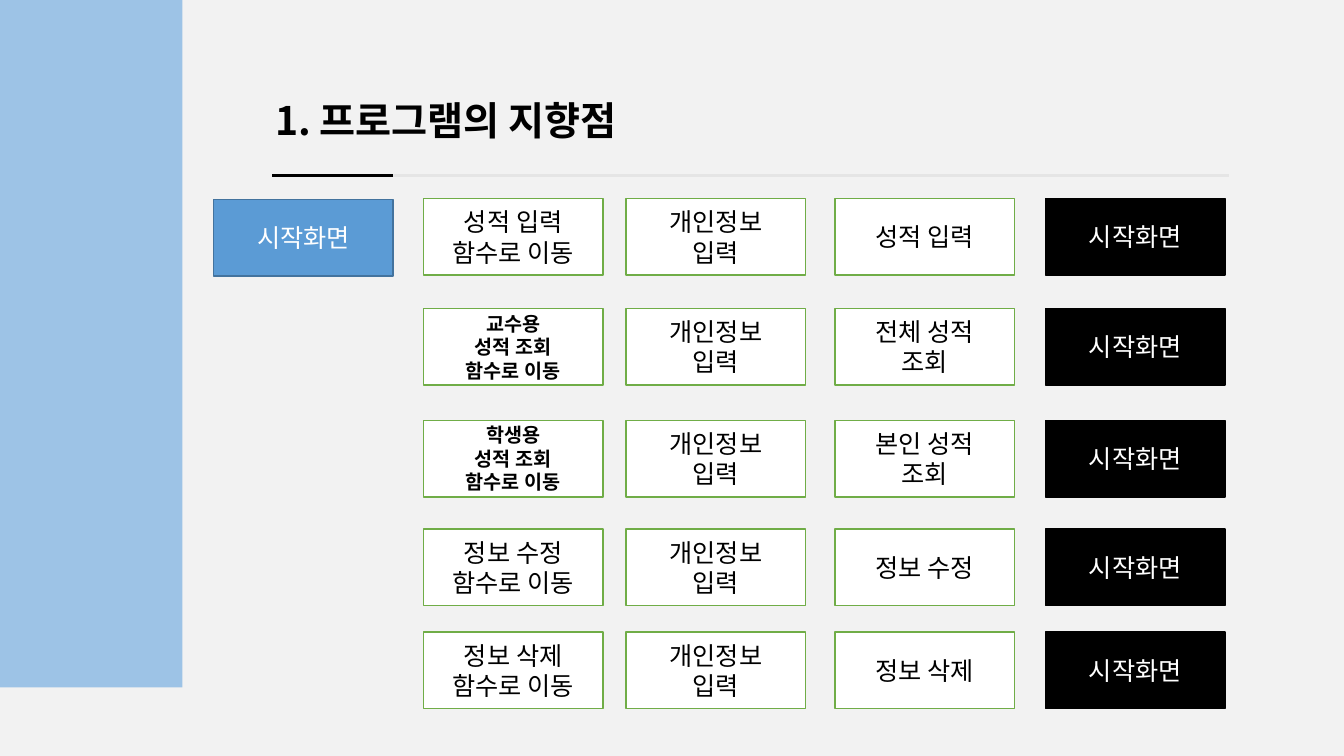
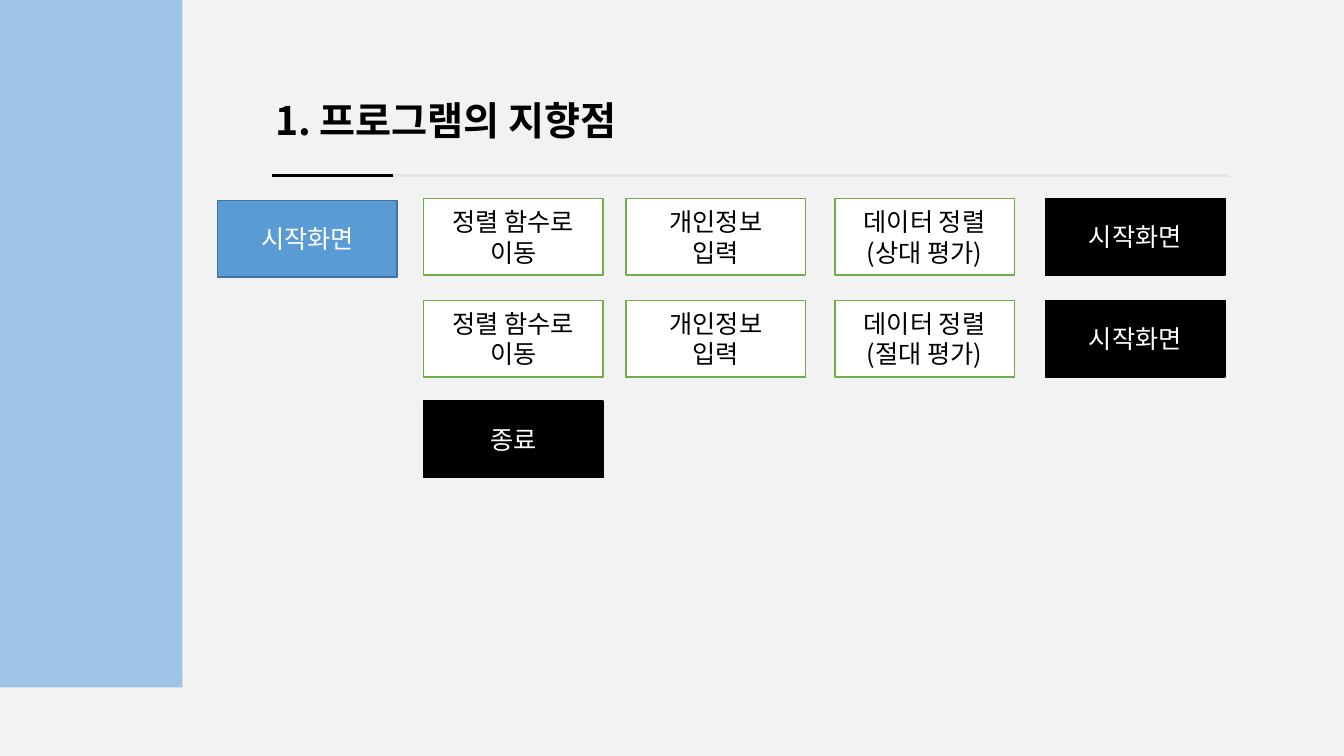
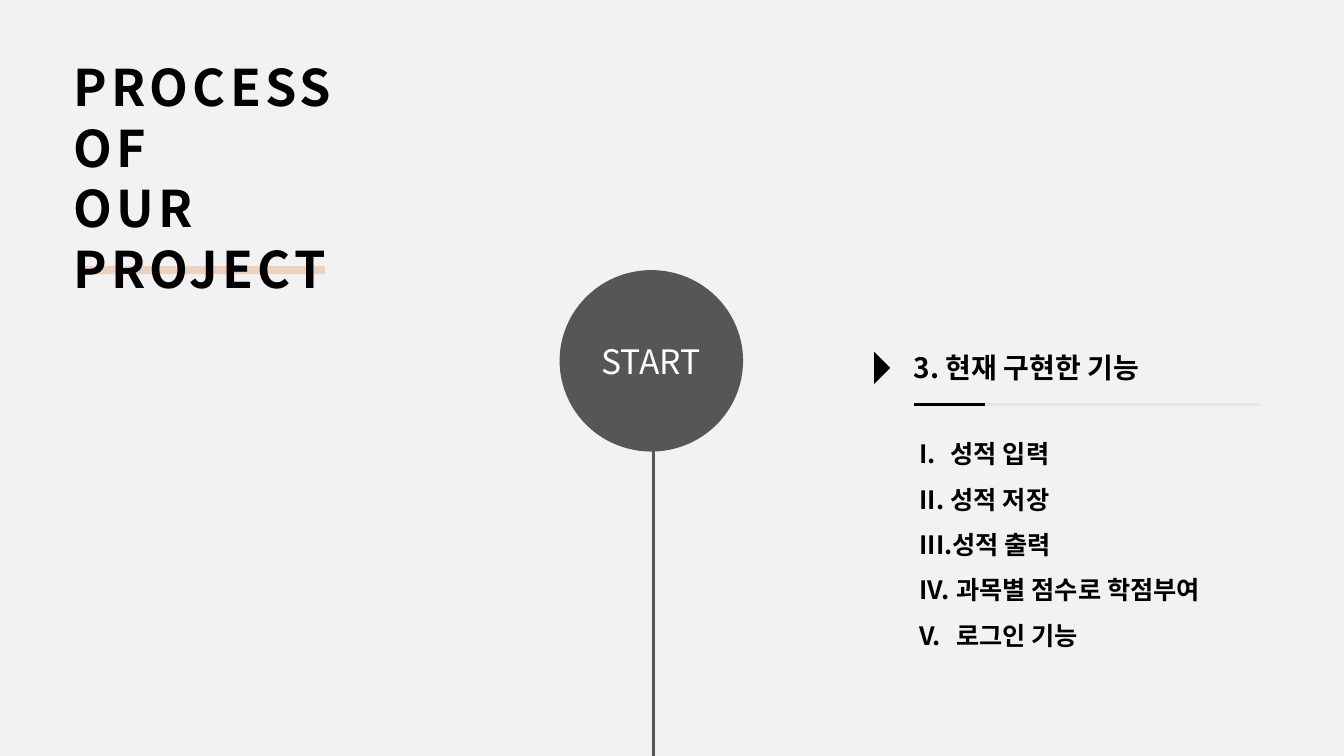
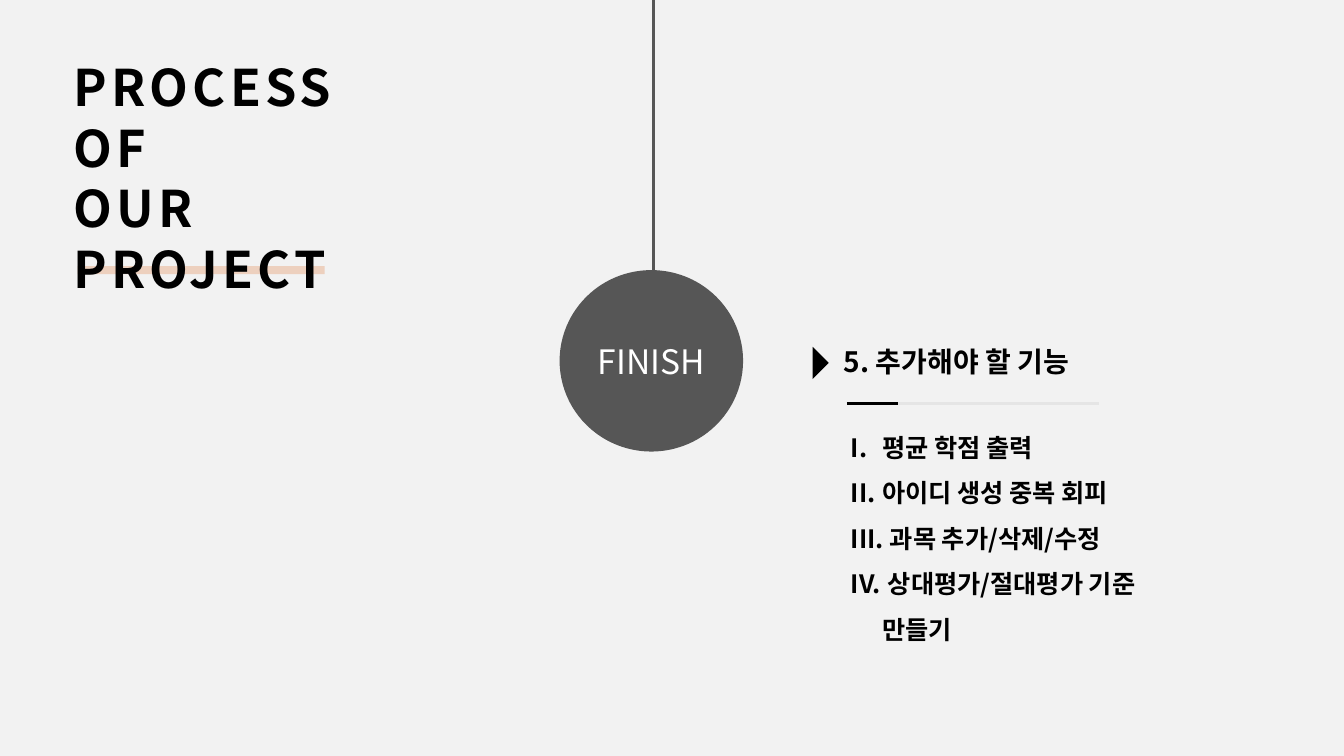
from pptx import Presentation
from pptx.dml.color import RGBColor
from pptx.enum import shapes, text
from pptx.oxml.ns import qn
from pptx.util import Inches, Pt
from lxml import etree

FONT = "Noto Sans CJK KR"
PAPER = RGBColor(0xF2, 0xF2, 0xF2)
BLACK = RGBColor(0, 0, 0)
WHITE = RGBColor(0xFF, 0xFF, 0xFF)
SIDE_BLUE = RGBColor(0x9D, 0xC3, 0xE6)
BLUE = RGBColor(0x5B, 0x9B, 0xD5)
DARK_BLUE = RGBColor(0x43, 0x73, 0x9E)
GREEN = RGBColor(0x70, 0xAD, 0x47)
RULE_GREY = RGBColor(0xE5, 0xE5, 0xE5)
PEACH = RGBColor(0xED, 0xD0, 0xBE)
CHARCOAL = RGBColor(0x56, 0x56, 0x56)

FLOW_TITLE = "1. 프로그램의 지향점"
PROCESS_TITLE = "PROCESS\nOF\vOUR\nPROJECT"
HOME = "시작화면"
PERSONAL = "개인정보\n입력"
COLUMNS = (4.2, 6.21, 8.28, 10.37)
BOX_SIZE = (1.78, 0.76)
BOX_STYLES = {
    "start": (BLUE, DARK_BLUE, WHITE),
    "step": (WHITE, GREEN, BLACK),
    "end": (BLACK, BLACK, WHITE),
}

FLOWS = [
    {
        "start": (2.12, 1.98),
        "rows": [
            (1.97, ["성적 입력\n함수로 이동", PERSONAL, "성적 입력", HOME]),
            (3.06, ["교수용\n성적 조회\n함수로 이동", PERSONAL, "전체 성적\n조회", HOME]),
            (4.17, ["학생용\n성적 조회\n함수로 이동", PERSONAL, "본인 성적\n조회", HOME]),
            (5.25, ["정보 수정\n함수로 이동", PERSONAL, "정보 수정", HOME]),
            (6.27, ["정보 삭제\n함수로 이동", PERSONAL, "정보 삭제", HOME]),
        ],
    },
    {
        "start": (2.16, 1.99),
        "rows": [
            (1.97, ["정렬 함수로\n이동", PERSONAL, "데이터 정렬\n(상대 평가)", HOME]),
            (2.98, ["정렬 함수로\n이동", PERSONAL, "데이터 정렬\n(절대 평가)", HOME]),
            (3.98, ["종료"]),
        ],
    },
]

MILESTONES = [
    {
        "label": "START",
        "stem": (3.53, 7.5),
        "marker": (8.67, 3.65),
        "heading": ("3. 현재 구현한 기능", (9.02, 3.44, 3.81, 0.93)),
        "items": (["성적 입력", "성적 저장", "성적 출력", " 과목별 점수로 학점부여",
                   " 로그인 기능"], (9.08, 4.16, 3.7, 2.65)),
        "rule": (9.07, 4.01, 3.43, 0.7),
    },
    {
        "label": "FINISH",
        "stem": (0, 4.07),
        "marker": (8.06, 3.6),
        "heading": ("5. 추가해야 할 기능", (8.33, 3.38, 2.78, 0.52)),
        "items": (["평균 학점 출력", "아이디 생성 중복 회피", " 과목 추가/삭제/수정",
                   " 상대평가/절대평가 기준 만들기"], (8.4, 4.1, 3.28, 2.44)),
        "rule": (8.4, 4, 2.5, 0.51),
    },
]


def write(frame, content, size, color=BLACK, bold=False, align=text.PP_ALIGN.LEFT,
          spacing=None, tracking=None, numbered=False):
    frame.word_wrap = True
    frame.text = content
    for para in frame.paragraphs:
        para.alignment = align
        if spacing:
            para.line_spacing = spacing
        font = para.font
        font.name, font.size, font.bold = FONT, Pt(size), bold
        font.color.rgb = color
        properties = para._p.get_or_add_pPr()
        defaults = properties.find(qn("a:defRPr"))
        etree.SubElement(defaults, qn("a:ea"), typeface=FONT)
        if tracking:
            defaults.set("spc", str(tracking * 100))
        if numbered:
            properties.set("marL", str(Inches(0.31)))
            properties.set("indent", str(-Inches(0.31)))
            number = etree.Element(qn("a:buAutoNum"), type="romanUcPeriod")
            defaults.addprevious(number)


def paint(shape, fill, line=None):
    shape.shadow.inherit = False
    shape.fill.solid()
    shape.fill.fore_color.rgb = fill
    if line is None:
        shape.line.fill.background()
    else:
        shape.line.color.rgb = line
        shape.line.width = Pt(1)


def add_block(page, kind, area, fill, line=None):
    shape = page.shapes.add_shape(kind, *map(Inches, area))
    paint(shape, fill, line)
    return shape


def add_line(page, start, end, color):
    line = page.shapes.add_connector(
        shapes.MSO_CONNECTOR.STRAIGHT, *map(Inches, start + end))
    line.line.color.rgb = color
    line.line.width = Pt(2)
    etree.SubElement(line._element.spPr, qn("a:effectLst"))


def add_rule(page, left, top, width, accent):
    add_line(page, (left, top), (left + width, top), RULE_GREY)
    add_line(page, (left, top), (left + accent, top), BLACK)


def add_text(page, content, area, size, **style):
    frame = page.shapes.add_textbox(*map(Inches, area)).text_frame
    frame.margin_left = frame.margin_right = Inches(0.04)
    frame.margin_top = frame.margin_bottom = Inches(0.04)
    write(frame, content, size, bold=True, **style)


def add_page(deck, title, area, size, **style):
    page = deck.slides.add_slide(deck.slide_layouts[5])
    holder = page.shapes.title
    holder.left, holder.top, holder.width, holder.height = map(Inches, area)
    frame = holder.text_frame
    frame.vertical_anchor = text.MSO_ANCHOR.TOP
    frame.auto_size = text.MSO_AUTO_SIZE.NONE
    write(frame, title, size, bold=True, **style)
    return page


def add_box(page, content, left, top, style):
    fill, line, color = BOX_STYLES[style]
    box = add_block(page, shapes.MSO_SHAPE.RECTANGLE, (left, top) + BOX_SIZE, fill, line)
    box.text_frame.vertical_anchor = text.MSO_ANCHOR.MIDDLE
    three_lines = content.count("\n") == 2
    write(box.text_frame, content, 14 if three_lines else 18, color, three_lines,
          text.PP_ALIGN.CENTER)


def add_flow(deck, flow):
    page = add_page(deck, FLOW_TITLE, (2.63, 0.67, 4.76, 0.74), 28, spacing=1.5)
    add_block(page, shapes.MSO_SHAPE.RECTANGLE, (0, 0, 1.81, 6.82), SIDE_BLUE)
    add_rule(page, 2.7, 1.74, 9.49, 1.2)
    add_box(page, HOME, *flow["start"], "start")
    for top, row in flow["rows"]:
        for left, content in zip(COLUMNS, row):
            add_box(page, content, left, top, "end" if content in (HOME, "종료") else "step")


def add_milestone(deck, milestone):
    page = add_page(deck, PROCESS_TITLE, (0.63, 0.51, 5.16, 2.52), 36, tracking=3)
    highlight = add_block(page, shapes.MSO_SHAPE.RECTANGLE, (0.77, 2.64, 2.45, 0.08), PEACH)
    page.shapes.title._element.addprevious(highlight._element)

    top, bottom = milestone["stem"]
    add_line(page, (6.48, top), (6.48, bottom), CHARCOAL)
    circle = add_block(page, shapes.MSO_SHAPE.OVAL, (5.55, 2.68, 1.82, 1.8), CHARCOAL)
    circle.text_frame.vertical_anchor = text.MSO_ANCHOR.MIDDLE
    write(circle.text_frame, milestone["label"], 24, WHITE, align=text.PP_ALIGN.CENTER)

    left, middle = milestone["marker"]
    outline = page.shapes.build_freeform(Inches(left), Inches(middle - 0.16))
    outline.add_line_segments([(Inches(left + 0.16), Inches(middle)),
                               (Inches(left), Inches(middle + 0.16))])
    paint(outline.convert_to_shape(), BLACK)

    heading, area = milestone["heading"]
    add_text(page, heading, area, 20)
    items, area = milestone["items"]
    add_text(page, "\n".join(items), area, 18, spacing=1.5, numbered=True)
    add_rule(page, *milestone["rule"])


def main():
    deck = Presentation()
    deck.slide_width, deck.slide_height = Inches(13.33), Inches(7.5)
    background = deck.slide_master.background.fill
    background.solid()
    background.fore_color.rgb = PAPER
    for flow in FLOWS:
        add_flow(deck, flow)
    for milestone in MILESTONES:
        add_milestone(deck, milestone)
    deck.save("out.pptx")


if __name__ == "__main__":
    main()
